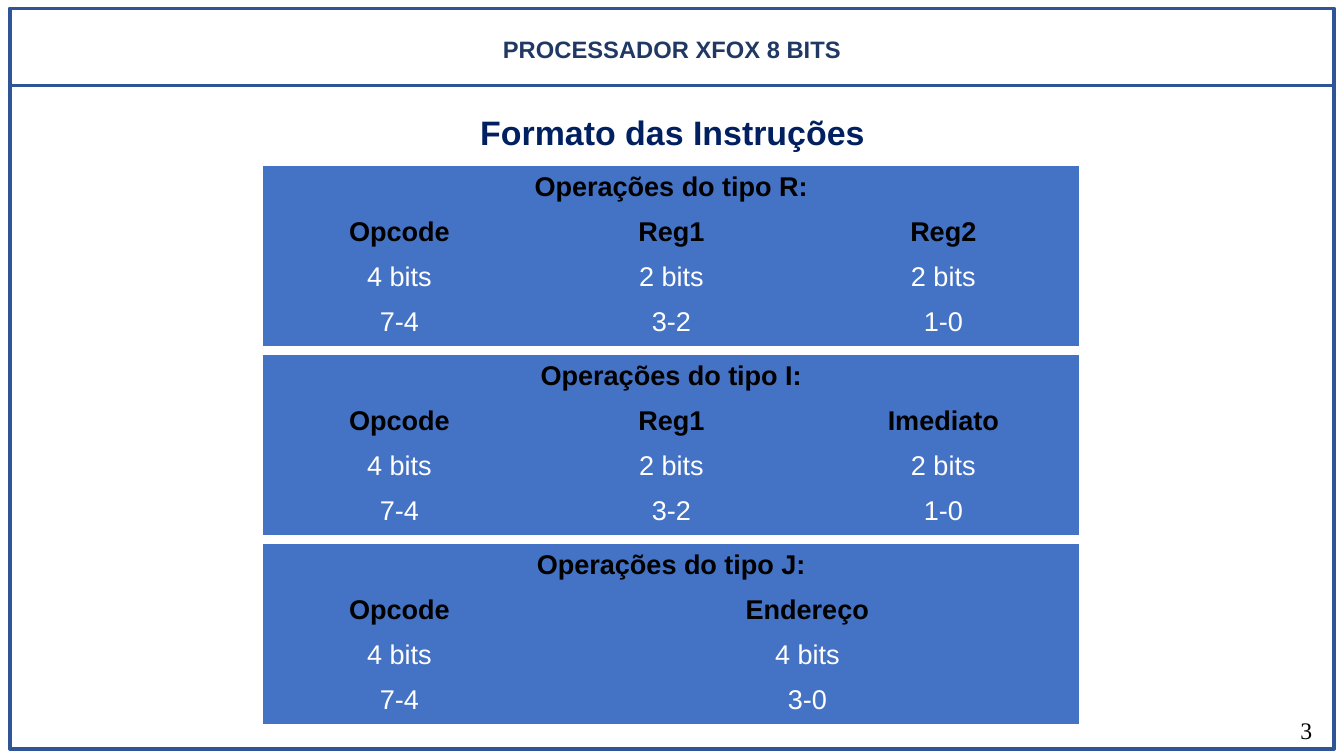
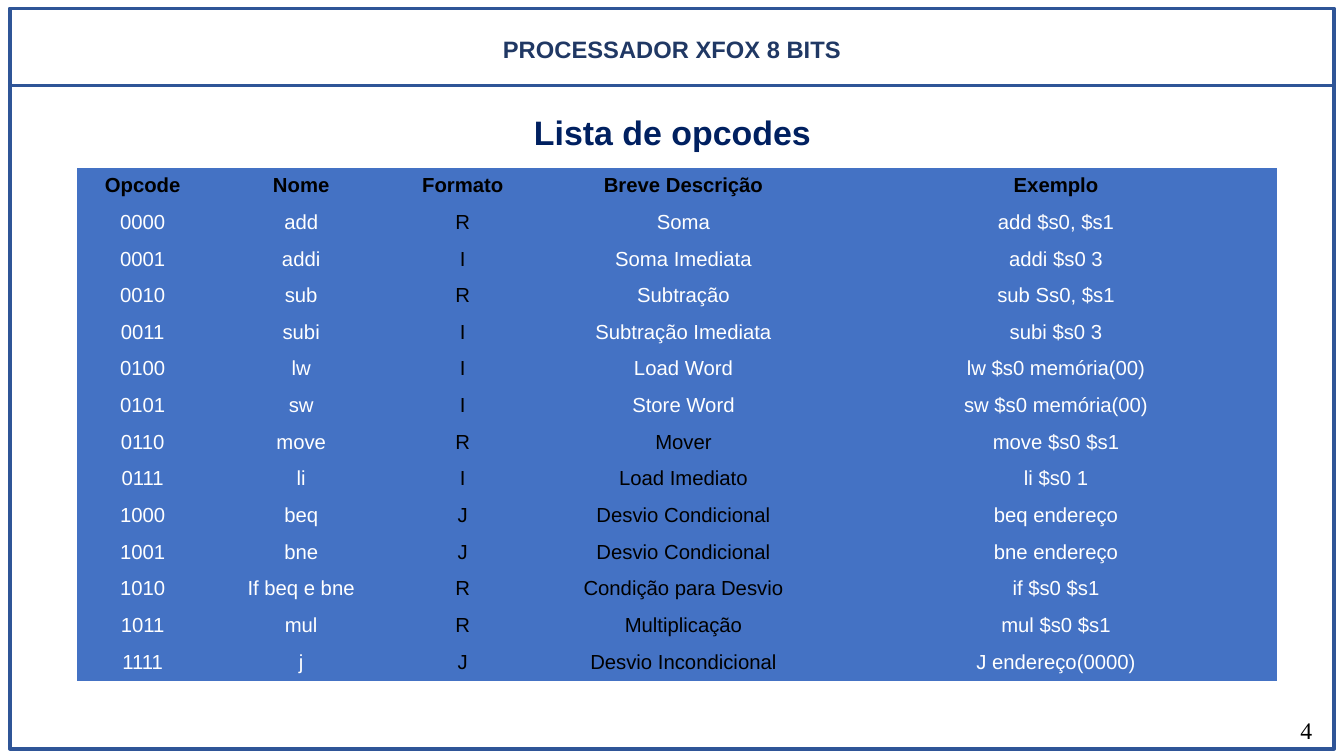
from dataclasses import dataclass
from typing import Optional

from lxml import etree
from pptx import Presentation
from pptx import util as u
from pptx.dml.color import RGBColor
from pptx.enum import shapes, text
from pptx.oxml import ns
from pptx.slide import Slide

FRAME_BLUE = RGBColor(0x2F, 0x55, 0x97)
BAND_BLUE = RGBColor(0x20, 0x38, 0x64)
HEADING_BLUE = RGBColor(0x00, 0x20, 0x60)
CELL_BLUE = RGBColor(0x44, 0x72, 0xC4)
BLACK = RGBColor(0, 0, 0)
WHITE = RGBColor(255, 255, 255)

SANS = "Arial"
SERIF = "Times New Roman"
PLAIN_TABLE_STYLE = "{2D5ABB26-0587-4C30-8999-92F81FD0307C}"

FRAME_LEFT, FRAME_TOP = 0.08, 0.07
FRAME_RIGHT, FRAME_BOTTOM = 10.94, 6.14
BAND_BOTTOM = 0.7

FORMAT_LEFT, FORMAT_TOP, FORMAT_PITCH = 2.16, 1.36, 1.55
FORMAT_COLUMN, FORMAT_ROW = 2.23, 0.37
OPCODE_COLUMNS = (1.08, 1.52, 1.13, 2.49, 3.62)
FORMAT_FIELD, DESCRIPTION_FIELD = 2, 3
FIRST_BLACK_DESCRIPTION = 7


@dataclass(frozen=True)
class TextStyle:
    size: float
    color: RGBColor
    bold: bool = False
    font: str = SANS
    align: text.PP_ALIGN = text.PP_ALIGN.CENTER


@dataclass(frozen=True)
class Area:
    left: float
    top: float
    width: float
    height: float

    def lengths(self) -> tuple[u.Length, ...]:
        return tuple(u.Inches(n) for n in (self.left, self.top, self.width, self.height))


@dataclass(frozen=True)
class Grid:
    left: float
    top: float
    columns: tuple[float, ...]
    row_height: float


@dataclass(frozen=True)
class InstructionFormat:
    kind: str
    columns: tuple[float, ...]
    rows: tuple[tuple[str, ...], ...]


BAND_STYLE = TextStyle(14, BAND_BLUE, bold=True)
HEADING_STYLE = TextStyle(20, HEADING_BLUE, bold=True)
NUMBER_STYLE = TextStyle(14, BLACK, font=SERIF, align=text.PP_ALIGN.RIGHT)

FORMATS = (
    InstructionFormat("R", (FORMAT_COLUMN,) * 3, (
        ("Opcode", "Reg1", "Reg2"),
        ("4 bits", "2 bits", "2 bits"),
        ("7-4", "3-2", "1-0"),
    )),
    InstructionFormat("I", (FORMAT_COLUMN,) * 3, (
        ("Opcode", "Reg1", "Imediato"),
        ("4 bits", "2 bits", "2 bits"),
        ("7-4", "3-2", "1-0"),
    )),
    InstructionFormat("J", (FORMAT_COLUMN, 2 * FORMAT_COLUMN), (
        ("Opcode", "Endereço"),
        ("4 bits", "4 bits"),
        ("7-4", "3-0"),
    )),
)

OPCODES = (
    ("Opcode", "Nome", "Formato", "Breve Descrição", "Exemplo"),
    ("0000", "add", "R", "Soma", "add $s0, $s1"),
    ("0001", "addi", "I", "Soma Imediata", "addi $s0 3"),
    ("0010", "sub", "R", "Subtração", "sub Ss0, $s1"),
    ("0011", "subi", "I", "Subtração Imediata", "subi $s0 3"),
    ("0100", "lw", "I", "Load Word", "lw $s0 memória(00)"),
    ("0101", "sw", "I", "Store Word", "sw $s0 memória(00)"),
    ("0110", "move", "R", "Mover", "move $s0 $s1"),
    ("0111", "li", "I", "Load Imediato", "li $s0 1"),
    ("1000", "beq", "J", "Desvio Condicional", "beq endereço"),
    ("1001", "bne", "J", "Desvio Condicional", "bne endereço"),
    ("1010", "If beq e bne", "R", "Condição para Desvio", "if $s0 $s1"),
    ("1011", "mul", "R", "Multiplicação", "mul $s0 $s1"),
    ("1111", "j", "J", "Desvio Incondicional", "J endereço(0000)"),
)


def write(frame, words: str, style: TextStyle) -> None:
    para = frame.paragraphs[0]
    para.text = words
    para.alignment = style.align
    para.font.name = style.font
    para.font.size = u.Pt(style.size)
    para.font.bold = style.bold
    para.font.color.rgb = style.color


def add_text(page: Slide, area: Area, words: str, style: TextStyle,
             anchor: text.MSO_ANCHOR = text.MSO_ANCHOR.TOP,
             margins: tuple[float, float] = (0, 0)) -> None:
    frame = page.shapes.add_textbox(*area.lengths()).text_frame
    frame.word_wrap = True
    frame.vertical_anchor = anchor
    frame.margin_left = frame.margin_right = u.Inches(margins[0])
    frame.margin_top = frame.margin_bottom = u.Inches(margins[1])
    write(frame, words, style)


def add_frame(page: Slide) -> None:
    area = Area(FRAME_LEFT, FRAME_TOP, FRAME_RIGHT - FRAME_LEFT, FRAME_BOTTOM - FRAME_TOP)
    border = page.shapes.add_shape(shapes.MSO_SHAPE.RECTANGLE, *area.lengths())
    border.shadow.inherit = False
    border.fill.background()
    border.line.color.rgb = FRAME_BLUE
    border.line.width = u.Pt(2.25)

    rule = page.shapes.add_connector(
        shapes.MSO_CONNECTOR.STRAIGHT,
        u.Inches(FRAME_LEFT), u.Inches(BAND_BOTTOM),
        u.Inches(FRAME_RIGHT), u.Inches(BAND_BOTTOM))
    rule.line.color.rgb = FRAME_BLUE
    rule.line.width = u.Pt(2)
    etree.SubElement(rule.element.spPr, ns.qn("a:effectLst"))


def add_page(deck, number: int, heading: str) -> Slide:
    page = deck.slides.add_slide(deck.slide_layouts[6])
    add_text(page, Area(8.19, 5.87, 2.57, 0.43), str(number), NUMBER_STYLE)
    add_text(page, Area(0.55, 0.25, 9.92, 0.3), "PROCESSADOR XFOX 8 BITS",
             BAND_STYLE, text.MSO_ANCHOR.MIDDLE)
    add_frame(page)
    add_text(page, Area(0.24, 0.87, 10.55, 5.04), heading, HEADING_STYLE,
             margins=(0.1, 0.05))
    return page


def add_grid(page: Slide, grid: Grid, row_count: int):
    area = Area(grid.left, grid.top, sum(grid.columns), row_count * grid.row_height)
    holder = page.shapes.add_table(row_count, len(grid.columns), *area.lengths())
    table = holder.table
    table.first_row = table.horz_banding = False
    for style_id in holder.element.iter(ns.qn("a:tableStyleId")):
        style_id.text = PLAIN_TABLE_STYLE
    for column, width in zip(table.columns, grid.columns):
        column.width = u.Inches(width)
    for row in table.rows:
        row.height = u.Inches(grid.row_height)
    for cell in table.iter_cells():
        cell.fill.solid()
        cell.fill.fore_color.rgb = CELL_BLUE
    return table


def fill_row(table, index: int, values: tuple[str, ...], size: float,
             header: bool, black_fields: Optional[set[int]] = None) -> None:
    for field, value in enumerate(values):
        black = header or field in (black_fields or set())
        style = TextStyle(size, BLACK if black else WHITE, bold=header)
        write(table.cell(index, field).text_frame, value, style)


def add_format(page: Slide, position: int, layout: InstructionFormat) -> None:
    grid = Grid(FORMAT_LEFT, FORMAT_TOP + position * FORMAT_PITCH, layout.columns, FORMAT_ROW)
    table = add_grid(page, grid, len(layout.rows) + 1)
    table.cell(0, 0).merge(table.cell(0, len(layout.columns) - 1))
    fill_row(table, 0, (f"Operações do tipo {layout.kind}:",), 16, header=True)
    for index, values in enumerate(layout.rows, start=1):
        fill_row(table, index, values, 16, header=index == 1)


def add_opcodes(page: Slide) -> None:
    table = add_grid(page, Grid(0.63, 1.38, OPCODE_COLUMNS, 0.3), len(OPCODES))
    for index, values in enumerate(OPCODES):
        black_fields = {FORMAT_FIELD}
        if index >= FIRST_BLACK_DESCRIPTION:
            black_fields.add(DESCRIPTION_FIELD)
        fill_row(table, index, values, 12, index == 0, black_fields)


def main() -> None:
    deck = Presentation()
    deck.slide_width, deck.slide_height = u.Inches(11.02), u.Inches(6.2)

    formats_page = add_page(deck, 3, "Formato das Instruções")
    for position, layout in enumerate(FORMATS):
        add_format(formats_page, position, layout)

    add_opcodes(add_page(deck, 4, "Lista de opcodes"))
    deck.save("out.pptx")


if __name__ == "__main__":
    main()
